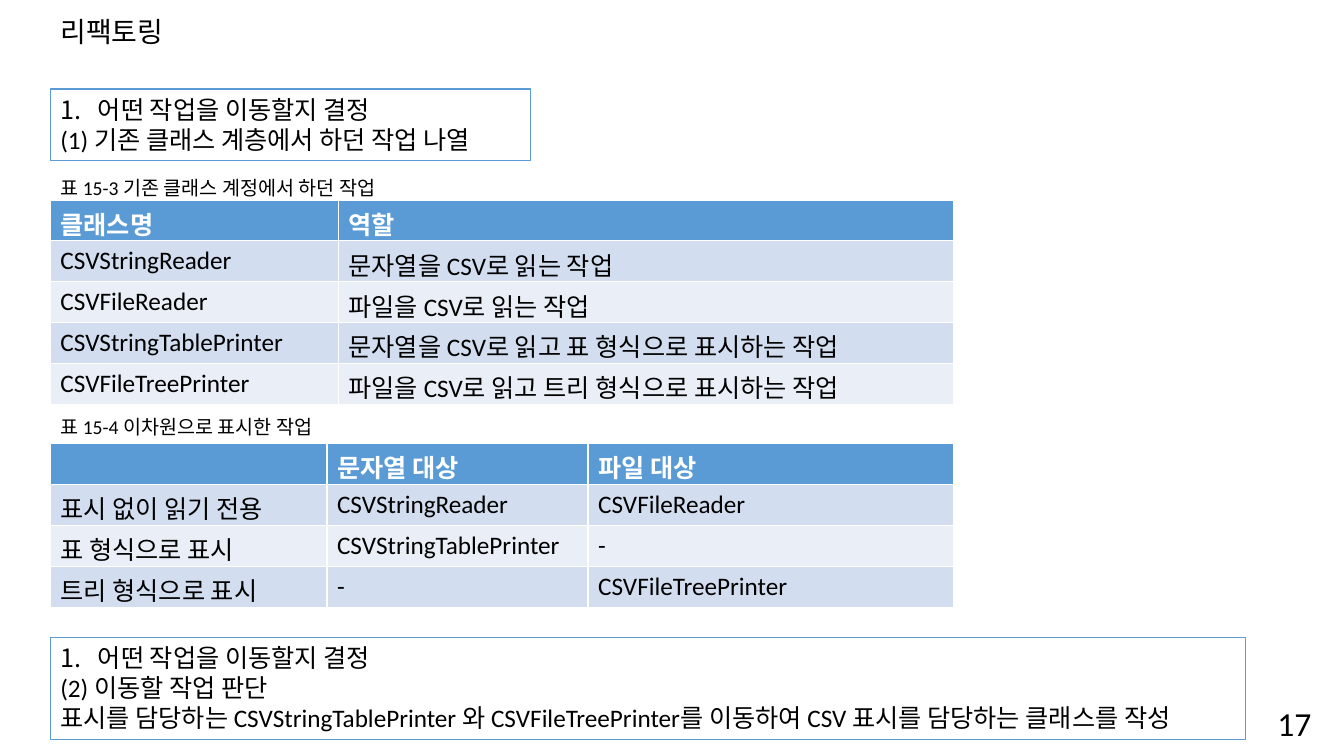
import pptx
import pptx.util
import pptx.dml.color
import pptx.enum.shapes
import pptx.enum.text
import pptx.oxml.ns
import lxml.etree

Cm = pptx.util.Cm
ALIGN = pptx.enum.text.PP_ALIGN
ANCHOR = pptx.enum.text.MSO_ANCHOR
LEFT = 1.27
TABLE_WIDTH = 22.76
ROW_HEIGHT = 1.03
BLUE, WHITE, BLACK = "5B9BD5", "FFFFFF", "000000"
BANDS = ("D2DEEF", "EAEFF7")
STEP = "어떤 작업을 이동할지 결정"

ROLES = [
    ("클래스명", "역할"),
    ("CSVStringReader", "문자열을 CSV로 읽는 작업"),
    ("CSVFileReader", "파일을 CSV로 읽는 작업"),
    ("CSVStringTablePrinter", "문자열을 CSV로 읽고 표 형식으로 표시하는 작업"),
    ("CSVFileTreePrinter", "파일을 CSV로 읽고 트리 형식으로 표시하는 작업"),
]
TARGETS = [
    ("", "문자열 대상", "파일 대상"),
    ("표시 없이 읽기 전용", "CSVStringReader", "CSVFileReader"),
    ("표 형식으로 표시", "CSVStringTablePrinter", "-"),
    ("트리 형식으로 표시", "-", "CSVFileTreePrinter"),
]


def color(value):
    """Turn a hex string into a colour."""
    return pptx.dml.color.RGBColor.from_string(value)


def write(para, text, size=18, fill=BLACK, bold=False, align=ALIGN.LEFT):
    """Write formatted text into a paragraph."""
    para.alignment = align
    span = para.add_run()
    span.text = text
    span.font.name = "Calibri"
    span.font.size = pptx.util.Pt(size)
    span.font.bold = bold
    span.font.color.rgb = color(fill)


def number(para):
    """Give a paragraph an automatic number and a hanging indent."""
    properties = para._p.get_or_add_pPr()
    properties.set("marL", str(Cm(0.95)))
    properties.set("indent", str(-Cm(0.95)))
    bullet = lxml.etree.SubElement(properties, pptx.oxml.ns.qn("a:buAutoNum"))
    bullet.set("type", "arabicPeriod")


def add_label(page, box, text, anchor=ANCHOR.TOP, **style):
    """Place one line of plain text in the box."""
    frame = page.shapes.add_textbox(*map(Cm, box)).text_frame
    frame.word_wrap = True
    frame.vertical_anchor = anchor
    write(frame.paragraphs[0], text, **style)


def add_step_box(page, box, lines):
    """Place an outlined box with the numbered step and the lines below it."""
    rectangle = pptx.enum.shapes.MSO_SHAPE.RECTANGLE
    shape = page.shapes.add_shape(rectangle, *map(Cm, box))
    shape.shadow.inherit = False
    shape.fill.solid()
    shape.fill.fore_color.rgb = color(WHITE)
    shape.line.color.rgb = color(BLUE)
    shape.line.width = pptx.util.Pt(1)
    frame = shape.text_frame
    frame.word_wrap = True
    frame.vertical_anchor = ANCHOR.TOP
    number(frame.paragraphs[0])
    write(frame.paragraphs[0], STEP)
    for line in lines:
        write(frame.add_paragraph(), line)


def add_banded_table(page, top, widths, rows):
    """Place a table with a blue header and banded rows."""
    box = (LEFT, top, TABLE_WIDTH, ROW_HEIGHT * len(rows))
    table = page.shapes.add_table(len(rows), len(widths), *map(Cm, box)).table
    for column, width in zip(table.columns, widths):
        column.width = Cm(width)
    for i, row in enumerate(rows):
        header = i == 0
        for j, text in enumerate(row):
            cell = table.cell(i, j)
            cell.fill.solid()
            cell.fill.fore_color.rgb = color(BLUE if header else BANDS[(i - 1) % 2])
            if text:
                write(cell.text_frame.paragraphs[0], text,
                      fill=WHITE if header else BLACK, bold=header)


def build_refactoring_page(deck):
    """Build the slide about the tasks to move."""
    page = deck.slides.add_slide(deck.slide_layouts[6])
    add_label(page, (31.4, 17.7, 1.9, 1.02), "17", anchor=ANCHOR.MIDDLE,
              size=24, align=ALIGN.RIGHT)
    add_label(page, (LEFT, 0.25, 3.35, 1.11), "리팩토링", size=20)
    add_step_box(page, (LEFT, 2.24, 12.1, 1.8), ["(1) 기존 클래스 계층에서 하던 작업 나열"])
    add_banded_table(page, 5.04, (7.26, 15.5), ROLES)
    add_label(page, (LEFT, 4.3, 9.07, 0.86), "표 15-3 기존 클래스 계정에서 하던 작업", size=14)
    add_banded_table(page, 11.18, (6.97, 6.58, 9.21), TARGETS)
    add_label(page, (LEFT, 10.32, 7.37, 0.86), "표 15-4 이차원으로 표시한 작업", size=14)
    add_step_box(page, (LEFT, 16.06, 30.12, 2.57), [
        "(2) 이동할 작업 판단",
        "표시를 담당하는 CSVStringTablePrinter 와 CSVFileTreePrinter를 이동하여 "
        "CSV 표시를 담당하는 클래스를 작성",
    ])


def main():
    """Build and save the deck."""
    deck = pptx.Presentation()
    deck.slide_width, deck.slide_height = Cm(33.87), Cm(19.05)
    build_refactoring_page(deck)
    deck.save("out.pptx")


if __name__ == "__main__":
    main()
